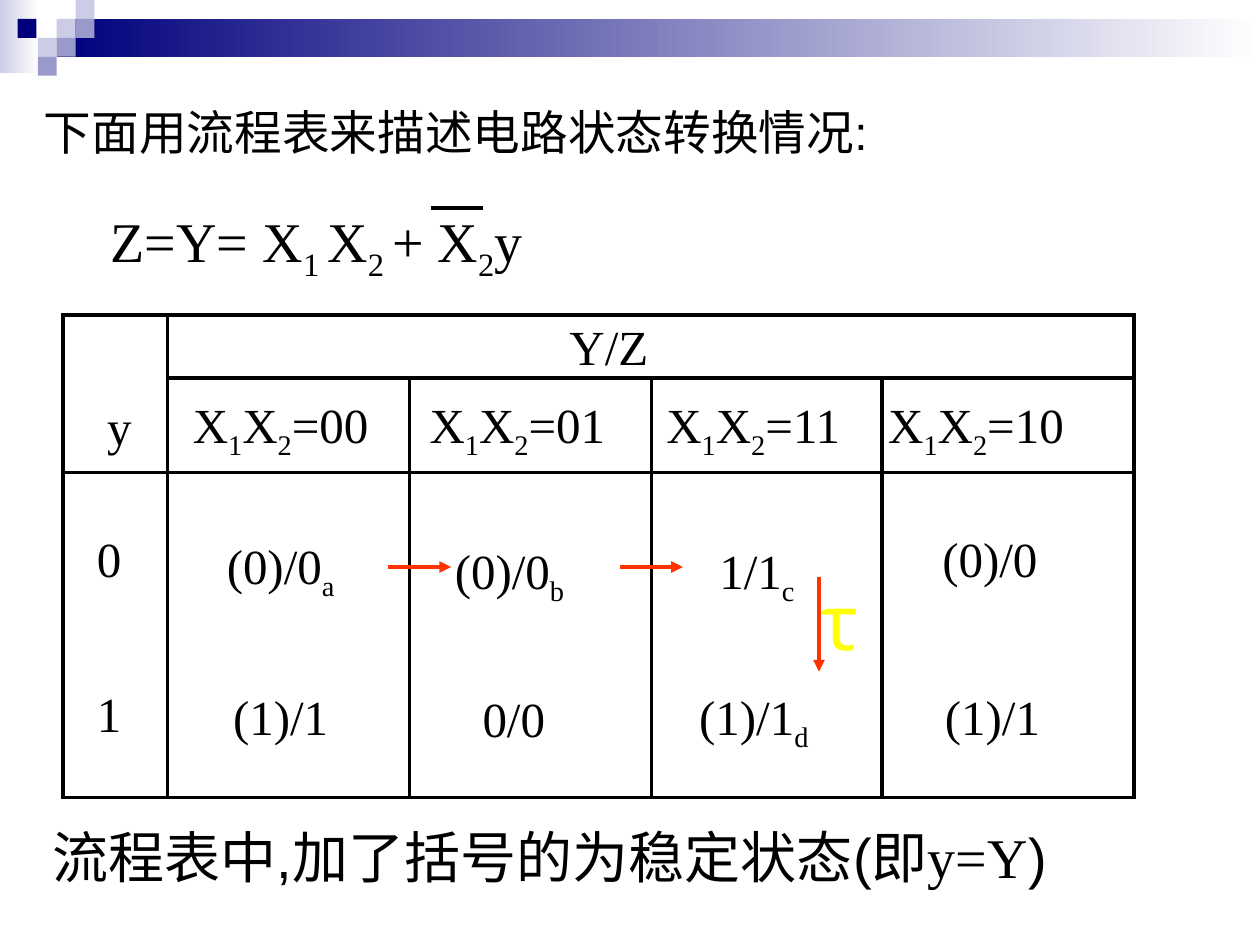
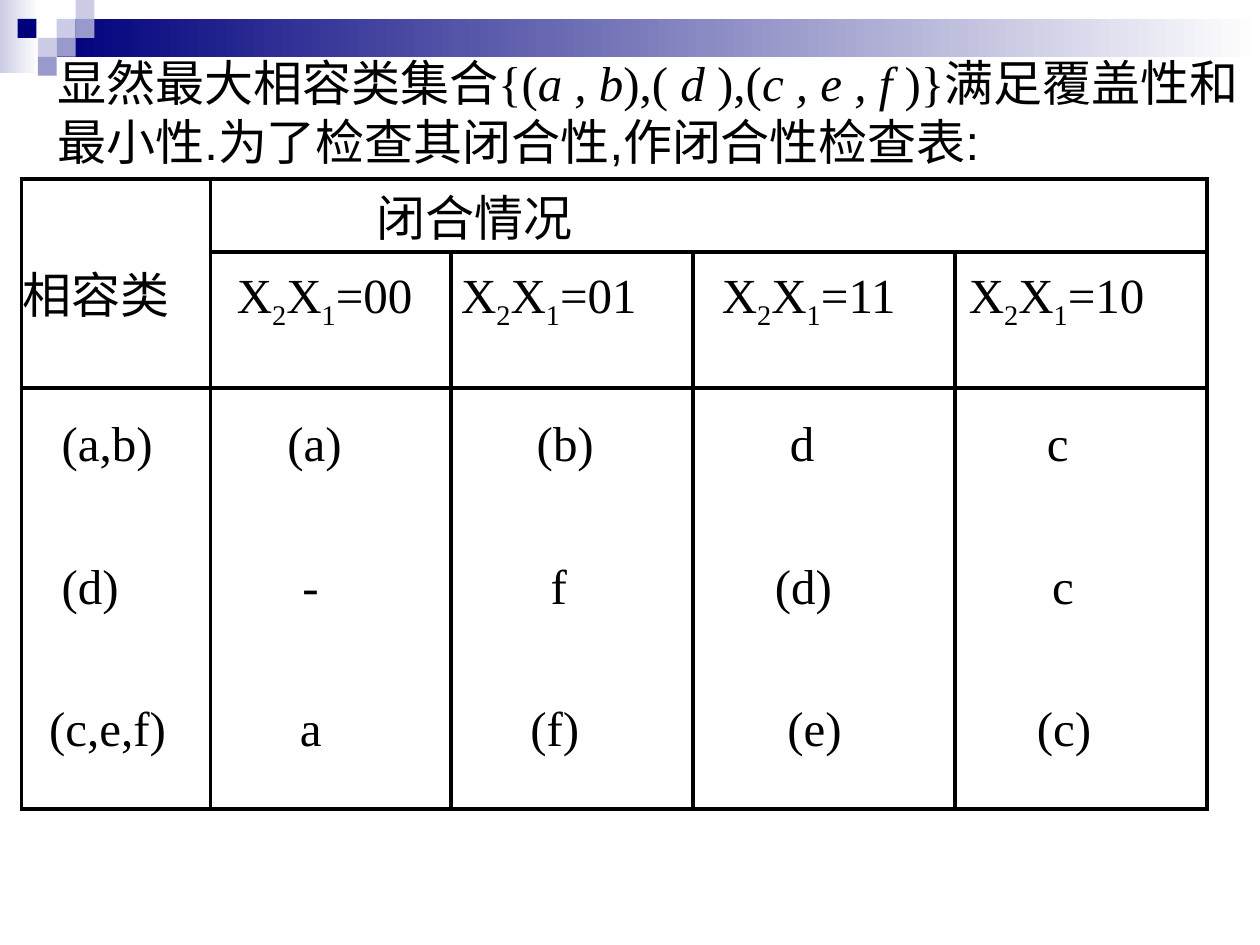
import pptx
import pptx.dml.color
import pptx.enum.shapes
import pptx.enum.text
import pptx.oxml
import pptx.oxml.ns
import pptx.util
from lxml import etree

# Shared look
WIDE, HIGH = 10, 7.5
HUES = {"ink": "000000", "navy": "00007D", "mid": "9999CC", "pale": "CCCCE6",
        "white": "FFFFFF", "red": "FF3300", "gold": "FFFF00"}
SANS, SERIF, GREEK = "Arial", "Times New Roman", "Montserrat"
SIZE, RULE = 28, 2.25
UNIT = 0.15  # side of a corner square
TILES = [(3, 1, "pale"), (4, 0, "pale"), (4, 1, "mid"), (2, 2, "pale"),
         (0.93, 1, "navy"), (3, 2, "mid"), (2, 3, "mid")]
BANDS = [(0, 0, 0.31, 0.58, "pale"), (0.45, UNIT, WIDE - 0.45, 2 * UNIT, "navy")]

# Runs are (text, font, style); each odd piece between bars takes the style.
# Texts are (box, size, colour, hanging indent, runs).
# Table cells are (text, left inset, top inset); None is covered by a merge.
# The tall first cell sits at its foot, so its last value is the bottom inset.
FLOW = {
    "texts": [
        ((0.25, 0.77, 9.75, 0.67), 27.2, "ink", 0,
         [("下面用流程表来描述电路状态转换情况:", SANS, "")]),
        ((0.78, 1.59, 3.8, 0.71), 32, "ink", 0,
         [("Z=Y= X|1 |X|2 |+ X|2|y", SERIF, "sub")]),
        ((0.32, 6.48, 9.4, 0.64), 32, "ink", 0,
         [("流程表中,加了括号的为稳定状态(即", SANS, ""), ("y=Y", SERIF, ""),
          (")", SANS, "")]),
        ((6.42, 4.5, 0.81, 0.84), 44, "gold", 0, [("τ", GREEK, "")]),
    ],
    "cols": [0.5, 1.33, 3.25, 5.17, 7, 9],
    "rows": [2.5, 3, 3.75, 5.04, 6.33],
    "font": SERIF,
    "cells": [
        [("y", 0.35, 0.13), ("Y/Z", 3.19, 0.05), None, None, None],
        [None, ("X|1|X|2|=00", 0.2, 0.17), ("X|1|X|2|=01", 0.16, 0.17),
         ("X|1|X|2|=11", 0.12, 0.17), ("X|1|X|2|=10", 0.05, 0.17)],
        [("0", 0.27, 0.49), ("(0)/0|a", 0.47, 0.54), ("(0)/0|b", 0.36, 0.58),
         ("1/1|c", 0.54, 0.58), ("(0)/0", 0.48, 0.49)],
        [("1", 0.27, 0.43), ("(1)/1", 0.52, 0.45), ("0/0", 0.58, 0.47),
         ("(1)/1|d", 0.38, 0.45), ("(1)/1", 0.5, 0.45)],
    ],
    # start, end, colour, arrowhead
    "lines": [
        ((3.42, 1.65), (3.83, 1.65), "ink", False),
        ((3.08, 4.5), (3.58, 4.5), "red", True),
        ((4.92, 4.5), (5.42, 4.5), "red", True),
        ((6.5, 4.58), (6.5, 5.33), "red", True),
    ],
}

CHECK = {
    "texts": [
        ((0, 0.37, WIDE, 1.05), SIZE, "ink", 0.36,
         [("显然最大相容类集合", SANS, ""),
          ("{(|a , b|),( |d| ),(|c , e , f| )}满足", SERIF, "ital"),
          ("覆盖性和最小性.为了检查其闭合性,作闭合性检查表:", SANS, "")]),
    ],
    "cols": [0.17, 1.67, 3.58, 5.5, 7.58, 9.58],
    "rows": [1.42, 2, 3.08, 4.19, 5.31, 6.42],
    "font": SERIF,
    "cells": [
        [("相容类", 0.01, 0.48), ("闭合情况", 1.32, 0.01), None, None, None],
        [None, ("X|2|X|1|=00", 0.21, 0.14), ("X|2|X|1|=01", 0.08, 0.14),
         ("X|2|X|1|=11", 0.23, 0.14), ("X|2|X|1|=10", 0.11, 0.14)],
        [("(a,b)", 0.32, 0.24), ("(a)", 0.61, 0.24), ("(b)", 0.68, 0.24),
         ("d", 0.77, 0.24), ("c", 0.73, 0.24)],
        [("(d)", 0.32, 0.26), ("-", 0.73, 0.26), ("f", 0.79, 0.26),
         ("(d)", 0.65, 0.26), ("c", 0.77, 0.26)],
        [("(c,e,f)", 0.22, 0.27), ("a", 0.71, 0.27), ("(f)", 0.63, 0.27),
         ("(e)", 0.75, 0.27), ("(c)", 0.65, 0.27)],
    ],
    "lines": [],
}

inch = pptx.util.Inches
point = pptx.util.Pt


def hue(name):
    return pptx.dml.color.RGBColor.from_string(HUES[name])


def write(para, text, font, style, size=SIZE, tint="ink"):
    for spot, piece in enumerate(text.split("|")):
        if not piece:
            continue
        run = para.add_run()
        run.text = piece
        run.font.name, run.font.size = font, point(size)
        run.font.color.rgb = hue(tint)
        if spot % 2 and style == "ital":
            run.font.italic = True
        elif spot % 2 and style == "sub":
            run._r.get_or_add_rPr().set("baseline", "-25000")


def block(slide, box):
    kind = pptx.enum.shapes.MSO_SHAPE.RECTANGLE
    shape = slide.shapes.add_shape(kind, *map(inch, box))
    shape.shadow.inherit = False
    shape.line.fill.background()
    return shape


def banner(slide):
    for *box, tint in BANDS:
        fill = block(slide, box).fill
        fill.gradient()
        fill.gradient_angle = 0
        for stop, name in zip(fill.gradient_stops, (tint, "white")):
            stop.color.rgb = hue(name)
    for col, row, tint in TILES:
        fill = block(slide, (col * UNIT, row * UNIT, UNIT, UNIT)).fill
        fill.solid()
        fill.fore_color.rgb = hue(tint)


def label(slide, box, size, tint, hang, runs):
    frame = slide.shapes.add_textbox(*map(inch, box)).text_frame
    frame.word_wrap = True
    para = frame.paragraphs[0]
    if hang:
        para._p.get_or_add_pPr().set("marL", str(inch(hang)))
    for text, font, style in runs:
        write(para, text, font, style, size, tint)


def border(cell, sides):
    """Rule the given sides (L, R, T, B) and clear the rest."""
    props = cell._tc.get_or_add_tcPr()
    for spot, side in enumerate("LRTB"):
        fill = (f'<a:solidFill><a:srgbClr val="{HUES["ink"]}"/></a:solidFill>'
                if side in sides else "<a:noFill/>")
        props.insert(spot, pptx.oxml.parse_xml(
            f'<a:ln{side} {pptx.oxml.ns.nsdecls("a")} w="{point(RULE)}">'
            f'{fill}</a:ln{side}>'))


def grid(slide, cols, rows, cells, font):
    tall, broad = len(rows) - 1, len(cols) - 1
    box = cols[0], rows[0], cols[-1] - cols[0], rows[-1] - rows[0]
    table = slide.shapes.add_table(tall, broad, *map(inch, box)).table
    table.first_row = table.horz_banding = False
    for col in range(broad):
        table.columns[col].width = inch(cols[col + 1] - cols[col])
    for row in range(tall):
        table.rows[row].height = inch(rows[row + 1] - rows[row])
    table.cell(0, 0).merge(table.cell(1, 0))
    table.cell(0, 1).merge(table.cell(0, broad - 1))
    for row, line in enumerate(cells):
        for col, item in enumerate(line):
            cell = table.cell(row, col)
            cell.fill.background()
            # Rows below the two heads have no rule between them
            top = "T" if row <= 2 else ""
            base = "B" if row < 2 or row == tall - 1 else ""
            border(cell, "LR" + top + base)
            cell.margin_right = cell.margin_top = cell.margin_bottom = 0
            if not item:
                continue
            text, left, gap = item
            cell.margin_left = inch(left)
            if row == col == 0:
                cell.vertical_anchor = pptx.enum.text.MSO_ANCHOR.BOTTOM
                cell.margin_bottom = inch(gap)
            else:
                cell.margin_top = inch(gap)
            write(cell.text_frame.paragraphs[0], text, font, "sub")


def stroke(slide, start, end, tint, arrow):
    kind = pptx.enum.shapes.MSO_CONNECTOR.STRAIGHT
    line = slide.shapes.add_connector(kind, *map(inch, start + end))
    line.line.color.rgb = hue(tint)
    line.line.width = point(RULE)
    tag = pptx.oxml.ns.qn
    if arrow:
        etree.SubElement(line.line._get_or_add_ln(), tag("a:tailEnd"), type="triangle")
    etree.SubElement(line._element.spPr, tag("a:effectLst"))


def main():
    deck = pptx.Presentation()
    deck.slide_width, deck.slide_height = inch(WIDE), inch(HIGH)
    for page in (FLOW, CHECK):
        slide = deck.slides.add_slide(deck.slide_layouts[6])
        banner(slide)
        grid(slide, page["cols"], page["rows"], page["cells"], page["font"])
        for item in page["lines"]:
            stroke(slide, *item)
        for item in page["texts"]:
            label(slide, *item)
    deck.save("out.pptx")


if __name__ == "__main__":
    main()
